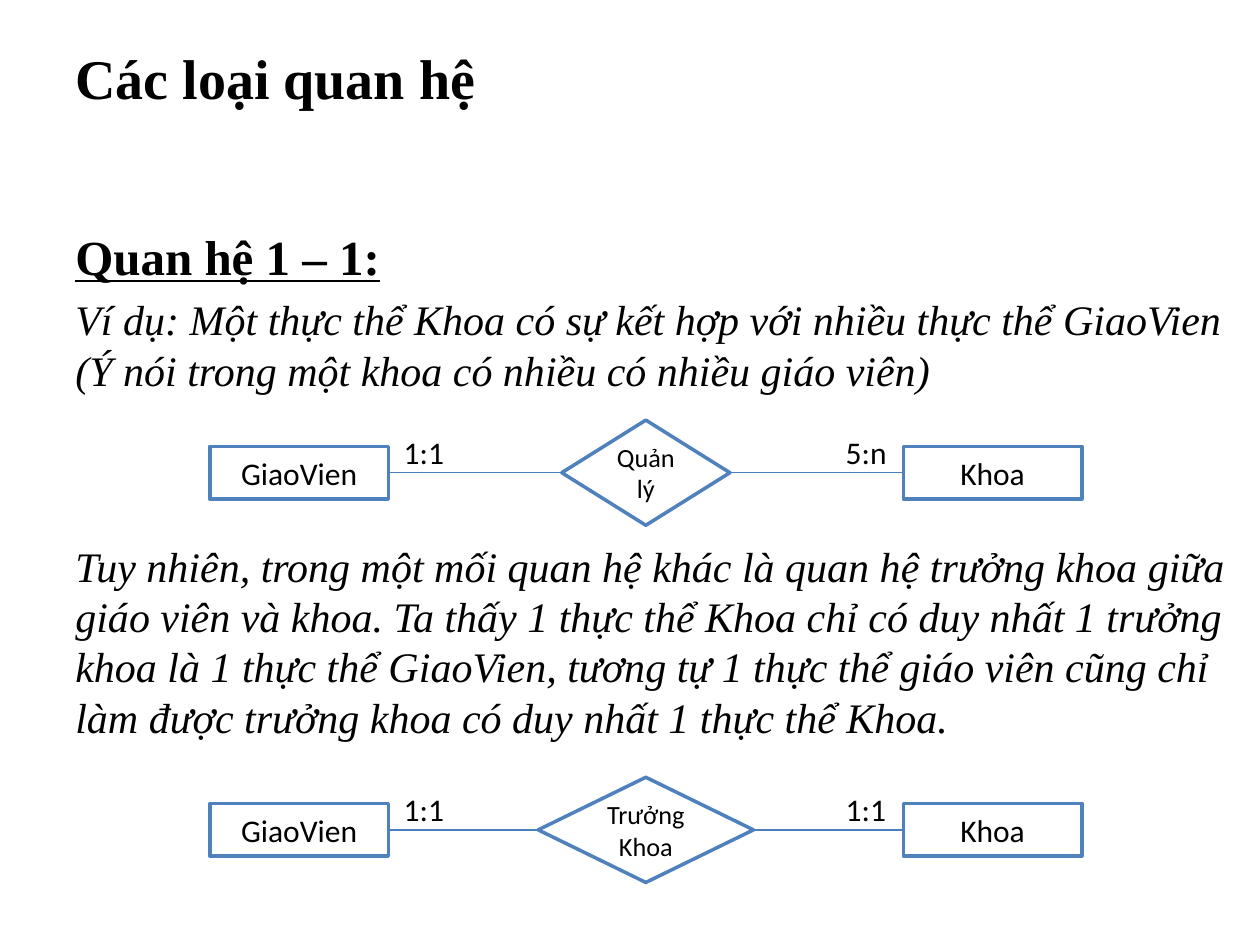
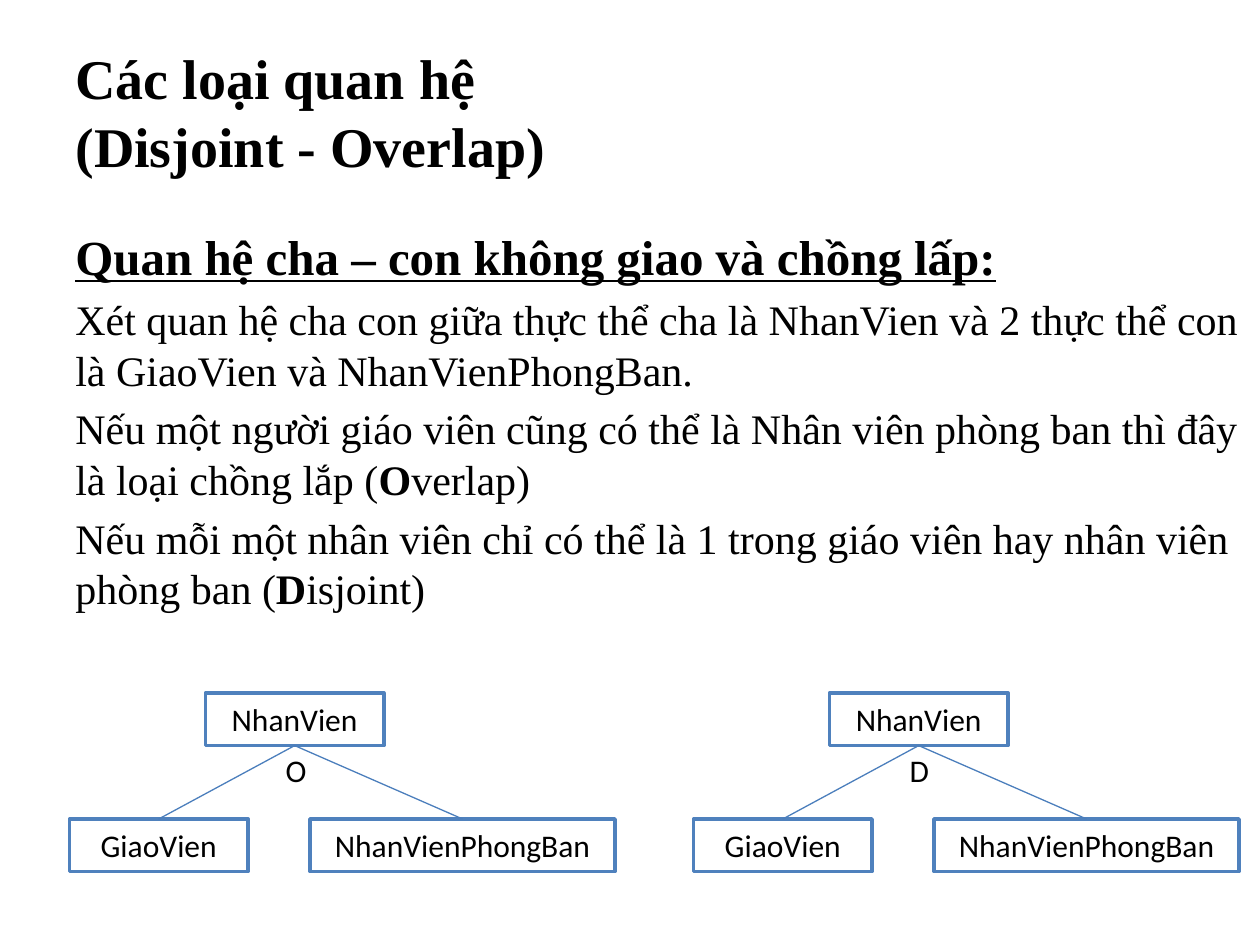
from pptx import Presentation
from pptx.dml.color import RGBColor
from pptx.enum.shapes import MSO_CONNECTOR as Link, MSO_SHAPE as Preset
from pptx.enum.text import MSO_ANCHOR as Anchor, MSO_AUTO_SIZE as AutoSize, PP_ALIGN as Align
from pptx.oxml.ns import qn
from pptx.util import Cm, Pt
from lxml import etree

SERIF, SANS = "Times New Roman", "Calibri"
INK, PAPER, OUTLINE, LINK = "000000", "FFFFFF", "4F81BD", "4B7EBC"
MARGIN = 1.27
ENTITY_W, ENTITY_H = 3.6, 1.06
TOP, LEFT, BOTTOM, RIGHT = range(4)


def color(value):
    return RGBColor.from_string(value)


def add_span(para, text, size, font=SERIF, bold=False, italic=False, underline=False):
    span = para.add_run()
    span.text = text
    span.font.name = font
    span.font.size = Pt(size)
    span.font.bold = bold
    span.font.italic = italic
    span.font.underline = underline
    span.font.color.rgb = color(INK)


def add_text_box(page, left, top, width, height, wrap=True):
    box = page.shapes.add_textbox(Cm(left), Cm(top), Cm(width), Cm(height))
    box.text_frame.word_wrap = wrap
    box.text_frame.auto_size = AutoSize.NONE if wrap else AutoSize.SHAPE_TO_FIT_TEXT
    return box.text_frame


def add_title(page, lines):
    para = add_text_box(page, MARGIN, 0.76, 22.86, 3.18).paragraphs[0]
    for index, line in enumerate(lines):
        if index:
            para.add_line_break()
        add_span(para, line, 32, bold=True)


def add_body(page, heading, paragraphs, italic=False):
    """Each paragraph is (space before in points, [(text, bold), ...])."""
    frame = add_text_box(page, MARGIN, 4.44, 24.13, 14.61)
    add_span(frame.paragraphs[0], heading, 28, bold=True, underline=True)
    for space, spans in paragraphs:
        para = frame.add_paragraph()
        para.space_before = Pt(space)
        for text, bold in spans:
            add_span(para, text, 24, bold=bold, italic=italic)


def add_node(page, text, left, top, width=ENTITY_W, height=ENTITY_H,
             preset=Preset.RECTANGLE, size=18):
    node = page.shapes.add_shape(preset, Cm(left), Cm(top), Cm(width), Cm(height))
    node.shadow.inherit = False
    node.fill.solid()
    node.fill.fore_color.rgb = color(PAPER)
    node.line.color.rgb = color(OUTLINE)
    node.line.width = Pt(2)
    node.text_frame.word_wrap = True
    node.text_frame.vertical_anchor = Anchor.MIDDLE
    para = node.text_frame.paragraphs[0]
    para.alignment = Align.CENTER
    add_span(para, text, size, SANS)
    return node


def join(page, start, start_side, end, end_side):
    link = page.shapes.add_connector(Link.STRAIGHT, 0, 0, 0, 0)
    link.begin_connect(start, start_side)
    link.end_connect(end, end_side)
    link.line.color.rgb = color(LINK)
    link.line.width = Pt(0.75)
    etree.SubElement(link._element.spPr, qn("a:effectLst"))


def add_label(page, text, left, top, width):
    frame = add_text_box(page, left, top, width, 1.02, wrap=False)
    add_span(frame.paragraphs[0], text, 18, SANS)


def add_relation(page, left, top, name, diamond_width, cardinalities):
    """Two entities joined through a diamond, with a cardinality beside each."""
    width, height, label_width, gap = 17.58, 2.12, 1.35, 0.06
    entity_top = top + (height - ENTITY_H) / 2
    right_left = left + width - ENTITY_W
    teacher = add_node(page, "GiaoVien", left, entity_top)
    faculty = add_node(page, "Khoa", right_left, entity_top)
    diamond = add_node(page, name, left + (width - diamond_width) / 2, top,
                       diamond_width, height, Preset.DIAMOND, 15)
    join(page, teacher, RIGHT, diamond, LEFT)
    join(page, diamond, RIGHT, faculty, LEFT)
    label_lefts = (left + ENTITY_W + gap, right_left - gap - label_width)
    for text, label_left in zip(cardinalities, label_lefts):
        add_label(page, text, label_left, top + 0.13, label_width)


def add_hierarchy(page, left, top, kind):
    """A parent entity above two children, marked with the kind of split."""
    parent_left, child_top = left + 2.74, top + 2.54
    parent = add_node(page, "NhanVien", parent_left, top)
    children = [
        add_node(page, "GiaoVien", left, child_top),
        add_node(page, "NhanVienPhongBan", left + 4.85, child_top, 6.15),
    ]
    for child in children:
        join(page, parent, BOTTOM, child, TOP)
    add_label(page, kind, parent_left + ENTITY_W / 2 - 0.43, top + 1.04, 0.93)


def add_page(deck, title_lines):
    page = deck.slides.add_slide(deck.slide_layouts[6])
    add_title(page, title_lines)
    return page


def build_one_to_one(deck):
    page = add_page(deck, ["Các loại quan hệ"])
    diagram_gap = 83.2
    add_body(page, "Quan hệ 1 – 1:", [
        (4.8, [("Ví dụ: Một thực thể Khoa có sự kết hợp với nhiều thực thể GiaoVien "
                "(Ý nói trong một khoa có nhiều có nhiều giáo viên)", False)]),
        (diagram_gap, [("Tuy nhiên, trong một mối quan hệ khác là quan hệ trưởng khoa "
                        "giữa giáo viên và khoa. Ta thấy 1 thực thể Khoa chỉ có duy nhất "
                        "1 trưởng khoa là 1 thực thể GiaoVien, tương tự 1 thực thể giáo "
                        "viên cũng chỉ làm được trưởng khoa có duy nhất 1 thực thể Khoa.",
                        False)]),
    ], italic=True)
    add_relation(page, 4.23, 8.47, "Quản lý", 3.39, ("1:1", "5:n"))
    add_relation(page, 4.23, 15.67, "Trưởng Khoa", 4.34, ("1:1", "1:1"))


def build_parent_child(deck):
    page = add_page(deck, ["Các loại quan hệ", "(Disjoint - Overlap)"])
    add_body(page, "Quan hệ cha – con không giao và chồng lấp:", [
        (4.8, [("Xét quan hệ cha con giữa thực thể cha là NhanVien và 2 thực thể con "
                "là GiaoVien và NhanVienPhongBan.", False)]),
        (4.8, [("Nếu một người giáo viên cũng có thể là Nhân viên phòng ban thì đây "
                "là loại chồng lắp (", False), ("O", True), ("verlap)", False)]),
        (4.8, [("Nếu mỗi một nhân viên chỉ có thể là 1 trong giáo viên hay nhân viên "
                "phòng ban (", False), ("D", True), ("isjoint)", False)]),
    ])
    for index, kind in enumerate("OD"):
        add_hierarchy(page, 1.4 + index * 12.58, 13.97, kind)


def main():
    deck = Presentation()
    deck.slide_width, deck.slide_height = Cm(25.4), Cm(19.05)
    build_one_to_one(deck)
    build_parent_child(deck)
    deck.save("out.pptx")


if __name__ == "__main__":
    main()
